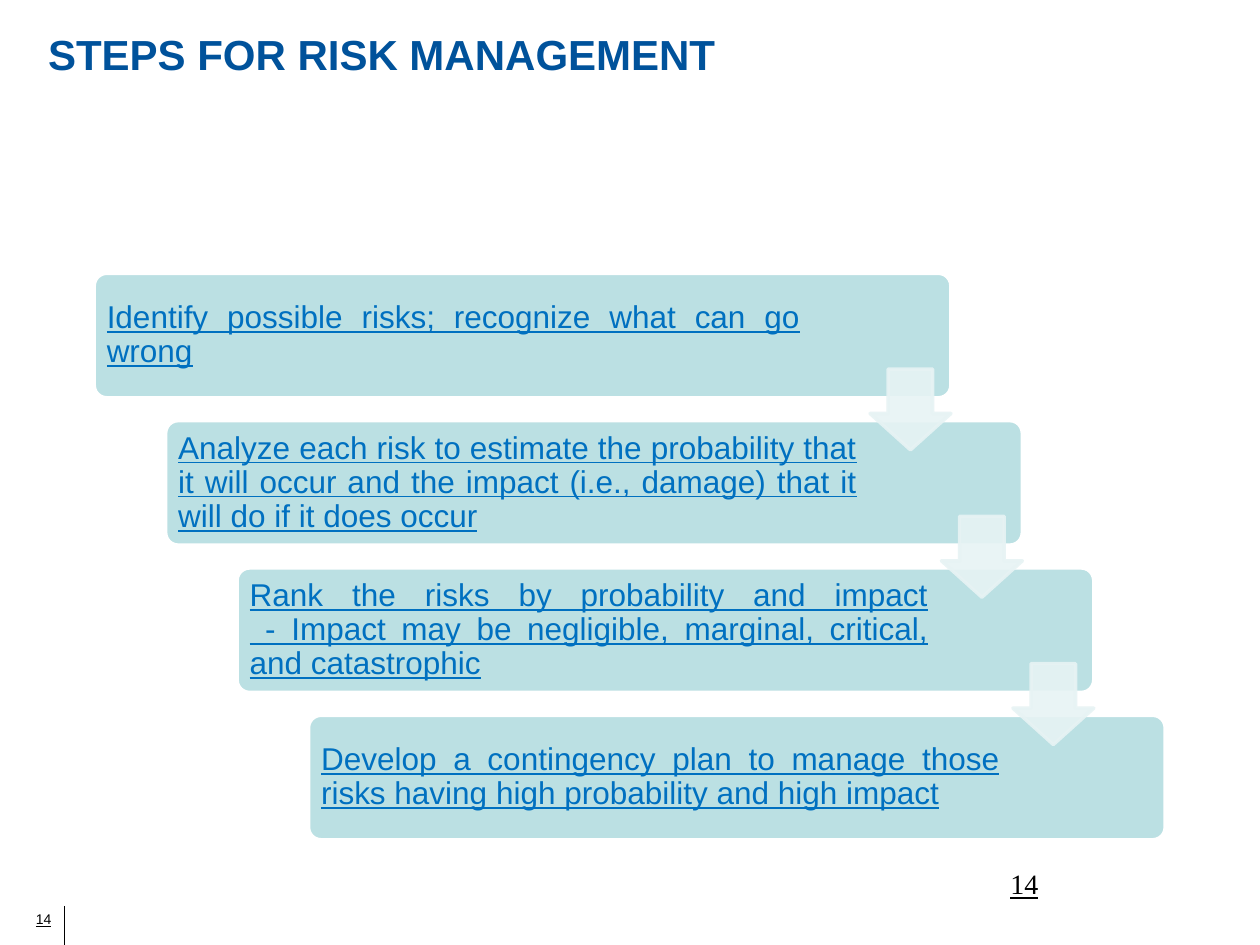
from dataclasses import dataclass

from lxml import etree
from pptx import Presentation
from pptx import util as u
from pptx.dml.color import RGBColor
from pptx.enum import shapes, text
from pptx.oxml import ns

TITLE_BLUE = RGBColor(0x00, 0x52, 0x9B)
STEP_BLUE = RGBColor(0x00, 0x70, 0xC0)
STEP_FILL = RGBColor(0xBB, 0xE0, 0xE3)
ARROW_FILL = RGBColor(0xE7, 0xF3, 0xF4)
WHITE = RGBColor(0xFF, 0xFF, 0xFF)
BLACK = RGBColor(0x00, 0x00, 0x00)

# Staircase geometry in centimetres
FIRST_LEFT, FIRST_TOP = 1.9, 5.51
STEP_RIGHT, STEP_DOWN = 1.44, 2.97
BOX_WIDTH, BOX_HEIGHT = 17.27, 2.51
ARROW_SIZE, ARROW_DROP = 1.63, 1.93


@dataclass(frozen=True)
class Step:
    wording: str
    margin_right: float = 3.27


@dataclass(frozen=True)
class PageNumber:
    left: float
    top: float
    width: float
    height: float
    margin_right: float
    alignment: text.PP_ALIGN
    font: dict


STEPS = [
    Step("Identify possible risks; recognize what can go wrong", 2.97),
    Step("Analyze each risk to estimate the probability that it will occur "
         "and the impact (i.e., damage) that it will do if it does occur"),
    Step("Rank the risks by probability and impact\v"
         " - Impact may be negligible, marginal, critical, and catastrophic"),
    Step("Develop a contingency plan to manage those risks having "
         "high probability and high impact"),
]

PAGE_NUMBERS = [
    PageNumber(0.13, 18.24, 0.91, 0.58, 0, text.PP_ALIGN.RIGHT,
               {"name": "Arial", "size": u.Pt(8), "underline": True}),
    PageNumber(20.12, 17.35, 5.28, 1.27, 0.25, text.PP_ALIGN.LEFT,
               {"name": "Times New Roman", "size": u.Pt(16), "underline": True}),
]


def set_values(target, values: dict) -> None:
    for name, value in values.items():
        setattr(target, name, value)


def write(shape, wording: str, color: RGBColor, font: dict, paragraph_format: dict, frame: dict) -> None:
    set_values(shape.text_frame, {"word_wrap": True, "auto_size": text.MSO_AUTO_SIZE.NONE, **frame})
    paragraph = shape.text_frame.paragraphs[0]
    paragraph.text = wording
    set_values(paragraph, paragraph_format)
    for run in paragraph.runs:
        set_values(run.font, font)
        run.font.color.rgb = color


def add_filled(slide, kind, box: tuple, fill: RGBColor, line: RGBColor):
    shape = slide.shapes.add_shape(kind, *map(u.Cm, box))
    shape.shadow.inherit = False
    shape.fill.solid()
    shape.fill.fore_color.rgb = fill
    shape.line.color.rgb = line
    shape.line.width = u.Pt(2)
    return shape


def add_step(slide, step: Step, index: int) -> None:
    box = (FIRST_LEFT + index * STEP_RIGHT, FIRST_TOP + index * STEP_DOWN, BOX_WIDTH, BOX_HEIGHT)
    shape = add_filled(slide, shapes.MSO_SHAPE.ROUNDED_RECTANGLE, box, STEP_FILL, WHITE)
    shape.adjustments[0] = 0.1
    write(shape, step.wording, STEP_BLUE,
          {"name": "Arial", "size": u.Pt(18), "underline": True},
          {"alignment": text.PP_ALIGN.JUSTIFY, "line_spacing": 0.9, "space_after": u.Pt(7.9)},
          {"vertical_anchor": text.MSO_ANCHOR.MIDDLE,
           "margin_left": u.Cm(0.18), "margin_right": u.Cm(step.margin_right),
           "margin_top": u.Cm(0.18), "margin_bottom": u.Cm(0.18)})


def add_arrow(slide, index: int) -> None:
    left = FIRST_LEFT + index * STEP_RIGHT + BOX_WIDTH - ARROW_SIZE
    top = FIRST_TOP + index * STEP_DOWN + ARROW_DROP
    arrow = add_filled(slide, shapes.MSO_SHAPE.DOWN_ARROW,
                       (left, top, ARROW_SIZE, ARROW_SIZE), ARROW_FILL, ARROW_FILL)
    arrow.adjustments[0] = 0.55
    arrow.adjustments[1] = 0.45
    # Fill and outline are 90 % opaque
    for color in arrow.element.spPr.iter(ns.qn("a:srgbClr")):
        etree.SubElement(color, ns.qn("a:alpha"), val="90000")


def add_page_number(slide, number: PageNumber) -> None:
    box = (number.left, number.top, number.width, number.height)
    shape = slide.shapes.add_textbox(*map(u.Cm, box))
    write(shape, "14", BLACK, number.font, {"alignment": number.alignment},
          {"margin_right": u.Cm(number.margin_right)})


def main() -> None:
    presentation = Presentation()
    presentation.slide_width, presentation.slide_height = u.Cm(25.4), u.Cm(19.05)
    slide = presentation.slides.add_slide(presentation.slide_layouts[5])

    # Title
    title = slide.shapes.title
    set_values(title, {"left": u.Cm(0.84), "top": u.Cm(0.05),
                       "width": u.Cm(23.7), "height": u.Cm(2.08)})
    write(title, "STEPS FOR RISK MANAGEMENT", TITLE_BLUE,
          {"name": "Arial", "size": u.Pt(24), "bold": True},
          {"alignment": text.PP_ALIGN.LEFT},
          {"vertical_anchor": text.MSO_ANCHOR.MIDDLE,
           "margin_left": u.Cm(0.13), "margin_right": u.Cm(0.13)})

    # Page numbers and footer rule
    for number in PAGE_NUMBERS:
        add_page_number(slide, number)
    rule = slide.shapes.add_connector(shapes.MSO_CONNECTOR.STRAIGHT,
                                      u.Cm(1.3), u.Cm(18.26), u.Cm(1.3), u.Cm(19.05))
    rule.line.color.rgb = BLACK
    rule.line.width = u.Pt(0.75)
    etree.SubElement(rule.element.spPr, ns.qn("a:effectLst"))

    # Staircase of steps, then the arrows between them
    for index, step in enumerate(STEPS):
        add_step(slide, step, index)
    for index in range(len(STEPS) - 1):
        add_arrow(slide, index)

    presentation.save("out.pptx")


if __name__ == "__main__":
    main()
